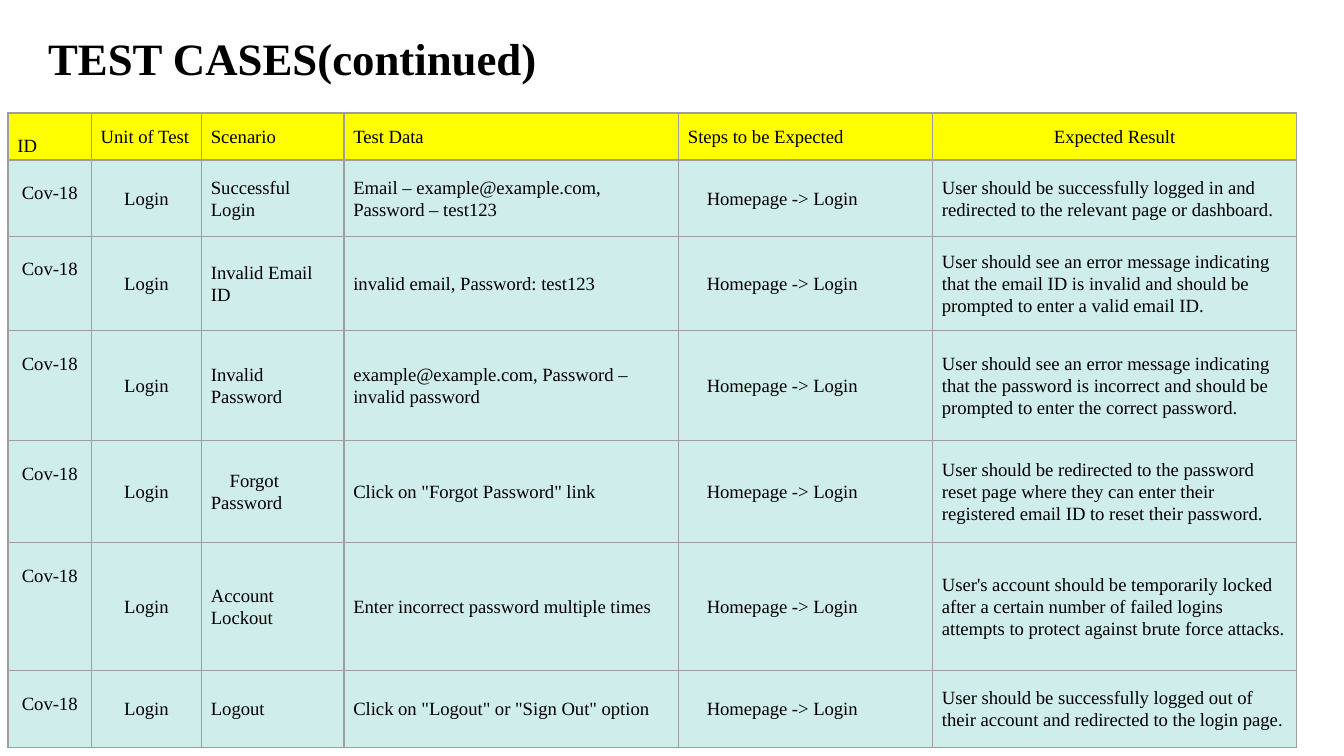
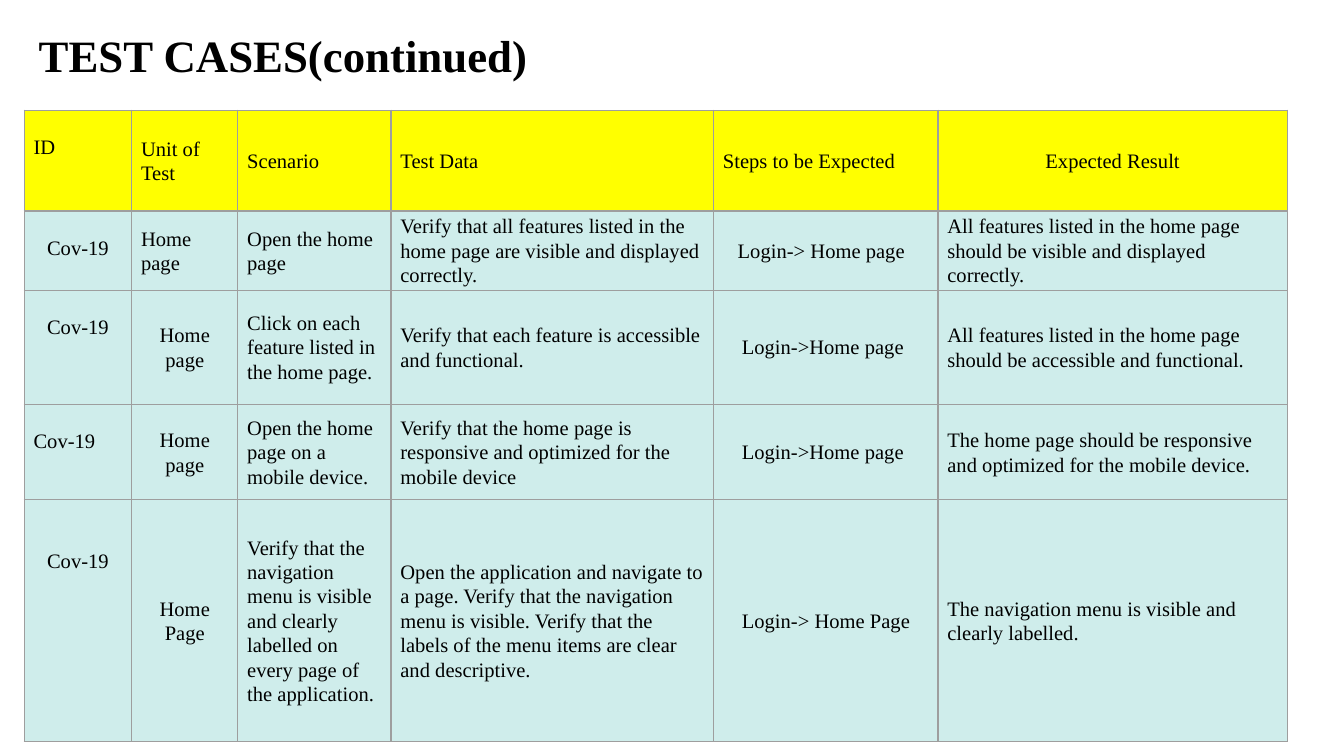
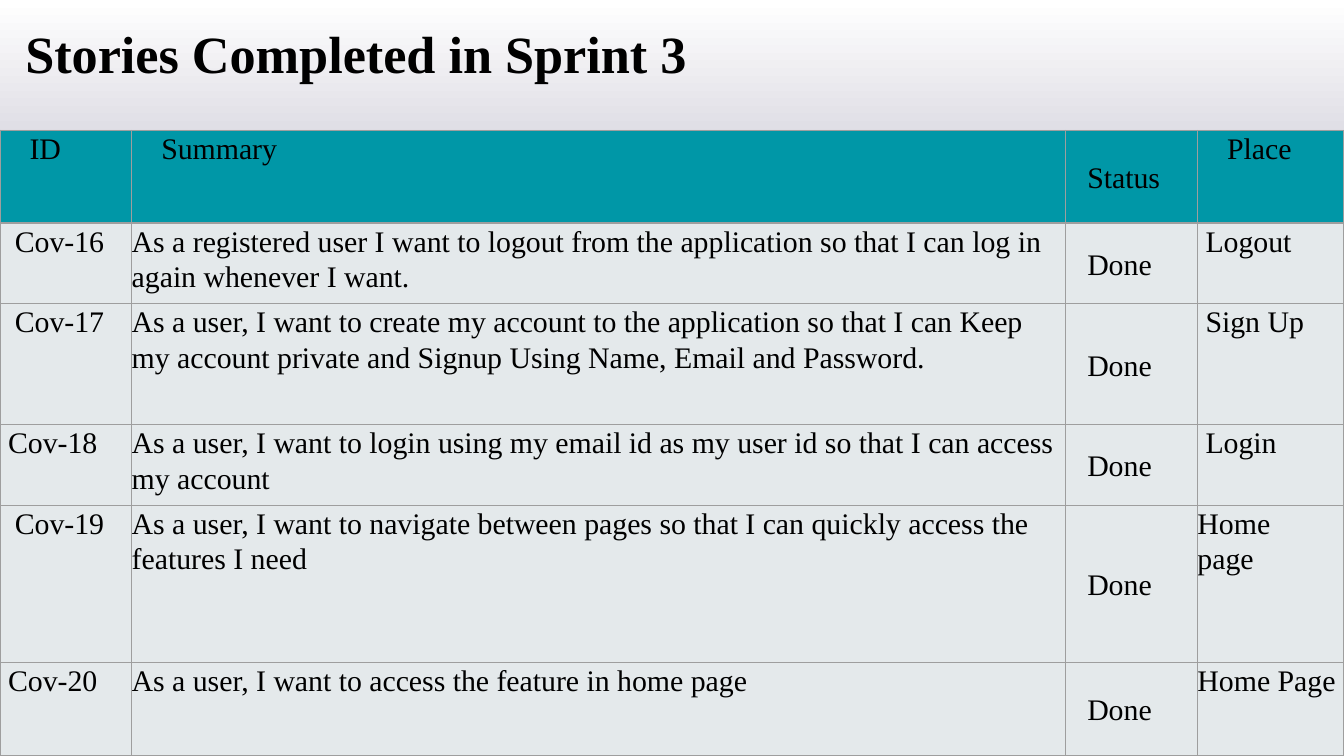
import pptx
import pptx.util
import pptx.dml.color
import pptx.enum.text
from dataclasses import dataclass
from lxml import etree

Inches = pptx.util.Inches
Align = pptx.enum.text.PP_ALIGN
Anchor = pptx.enum.text.MSO_ANCHOR


@dataclass(frozen=True)
class Theme:
    font: str = "Times New Roman"
    ink: str = "000000"
    white: str = "FFFFFF"
    dusk: str = "423864"
    rule: str = "9E9E9E"
    yellow: str = "FFFF00"
    mint: str = "CFEDEB"
    teal: str = "0097A7"
    mist: str = "E4E9EB"
    rule_pt: float = 0.75
    lead: float = 1.07


THEME = Theme()

# Cell styles: a cell is plain text, or (text, changes to its column's style)
BASE = dict(align=Align.LEFT, indent=0, anchor=Anchor.MIDDLE, left=0, right=0, top=0)
MID = dict(align=Align.CENTER)
STEP = dict(indent=0.14)
TOP = dict(anchor=Anchor.TOP)

# Content: test cases
HEADS = ["ID", "Unit of Test", "Scenario", "Test Data", "Steps to be Expected",
         ("Expected Result", MID)]
LOGIN = [
    ("Successful Login", "Email – example@example.com, Password – test123",
     "User should be successfully logged in and redirected to the relevant page or dashboard."),
    ("Invalid Email ID", "invalid email, Password: test123",
     "User should see an error message indicating that the email ID is invalid "
     "and should be prompted to enter a valid email ID."),
    ("Invalid Password", "example@example.com, Password – invalid password",
     "User should see an error message indicating that the password is incorrect "
     "and should be prompted to enter the correct password."),
    (("Forgot Password", STEP), 'Click on "Forgot Password" link',
     "User should be redirected to the password reset page where they can enter "
     "their registered email ID to reset their password."),
    ("Account Lockout", "Enter incorrect password multiple times",
     "User's account should be temporarily locked after a certain number of failed "
     "logins attempts to protect against brute force attacks."),
    ("Logout", 'Click on "Logout" or "Sign Out" option',
     "User should be successfully logged out of their account and redirected to the login page."),
]
HOME = [
    ["Cov-19", ("Home page", dict(align=Align.LEFT)), "Open the home page",
     "Verify that all features listed in the home page are visible and displayed correctly.",
     ("Login-> Home page", dict(indent=0.11)),
     "All features listed in the home page should be visible and displayed correctly."],
    ["Cov-19", "Home page", "Click on each feature listed in the home page.",
     "Verify that each feature is accessible and functional.", "Login->Home page",
     "All features listed in the home page should be accessible and functional."],
    [("Cov-19", dict(align=Align.LEFT)), "Home page", "Open the home page on a mobile device.",
     "Verify that the home page is responsive and optimized for the mobile device",
     "Login->Home page",
     "The home page should be responsive and optimized for the mobile device."],
    [("Cov-19", dict(top=0.36)), "Home Page",
     "Verify that the navigation menu is visible and clearly labelled on every page "
     "of the application.",
     "Open the application and navigate to a page. Verify that the navigation menu is visible. "
     "Verify that the labels of the menu items are clear and descriptive.",
     "Login-> Home Page", "The navigation menu is visible and clearly labelled."],
]

# Content: sprint stories
NEAR, FAR, HEAD = dict(indent=0.06), dict(indent=0.11), dict(indent=0.22)
STORIES = [
    [("Cov-16", FAR), "As a registered user I want to logout from the application so that "
     "I can log in again whenever I want.", "Done", ("Logout", NEAR)],
    [("Cov-17", FAR), "As a user, I want to create my account to the application so that I can "
     "Keep my account private and Signup Using Name, Email and Password.",
     "Done", ("Sign Up", NEAR)],
    [("Cov-18", NEAR), "As a user, I want to login using my email id as my user id so that "
     "I can access my account", "Done", ("Login", NEAR)],
    [("Cov-19", FAR), "As a user, I want to navigate between pages so that I can quickly "
     "access the features I need", "Done", ("Home page", dict(right=0.2))],
    [("Cov-20", NEAR), "As a user, I want to access the feature in home page",
     "Done", "Home Page"],
]


def tests(drop):
    """Column styles of a test-case table, with the ID dropped one line."""
    side = dict(left=0.07, right=0.07)
    return [side | TOP | dict(top=drop), side, side, side, side, side]


def cased(rows):
    """Give body rows the centred and indented columns of a test-case table."""
    body = [MID, MID, {}, {}, STEP, {}]
    return [[(cell[0], kind | cell[1]) if isinstance(cell, tuple) else (cell, kind)
             for cell, kind in zip(row, body)] for row in rows]


SLIDES = [
    dict(title="TEST CASES(continued)", box=(0.26, 0.18, 5, 0.5), big=24, glow=False,
         at=(0.06, 0.84), size=10, tints=(THEME.yellow, THEME.mint),
         cols=[0.62, 0.82, 1.06, 2.49, 1.89, 2.71],
         high=[0.35, 0.57, 0.7, 0.82, 0.76, 0.95, 0.57], kinds=tests(0.16),
         rows=[HEADS] + cased([["Cov-18", "Login", what, data, "Homepage -> Login", end]
                               for what, data, end in LOGIN])),
    dict(title="TEST CASES(continued)", box=(0.19, 0.16, 5, 0.5), big=24, glow=False,
         at=(0.18, 0.82), size=11, tints=(THEME.yellow, THEME.mint),
         cols=[0.8, 0.79, 1.14, 2.4, 1.67, 2.6],
         high=[0.75, 0.58, 0.85, 0.71, 1.8], kinds=tests(0.18),
         rows=[HEADS] + cased(HOME)),
    dict(title="Stories Completed in Sprint 3", box=(0.09, 0.11, 5.36, 0.57), big=28, glow=True,
         at=(0, 0.97), size=16, tints=(THEME.teal, THEME.mist),
         cols=[0.98, 6.95, 0.98, 1.09], high=[0.69, 0.6, 0.9, 0.6, 1.17, 0.69],
         kinds=[TOP, TOP, dict(left=0.16, right=0.01, top=0.01), TOP],
         rows=[[("ID", HEAD), ("Summary", HEAD), "Status", ("Place", HEAD)]] + STORIES),
]


def rgb(code):
    return pptx.dml.color.RGBColor.from_string(code)


def style(para, size, bold=False):
    para.font.name = THEME.font
    para.font.size = pptx.util.Pt(size)
    para.font.bold = bold
    para.font.color.rgb = rgb(THEME.ink)


def edge(cell):
    """Rule all four sides of a cell."""
    props = cell._tc.get_or_add_tcPr()
    for side in ("lnL", "lnR", "lnT", "lnB"):
        line = etree.SubElement(props, pptx.oxml.ns.qn("a:" + side),
                                w=str(pptx.util.Pt(THEME.rule_pt)))
        fill = etree.SubElement(line, pptx.oxml.ns.qn("a:solidFill"))
        etree.SubElement(fill, pptx.oxml.ns.qn("a:srgbClr"), val=THEME.rule)


def write(cell, text, look, size, tint):
    edge(cell)
    cell.fill.solid()
    cell.fill.fore_color.rgb = rgb(tint)
    cell.margin_left, cell.margin_right = Inches(look["left"]), Inches(look["right"])
    cell.margin_top, cell.margin_bottom = Inches(look["top"]), 0
    cell.vertical_anchor = look["anchor"]
    para = cell.text_frame.paragraphs[0]
    para.text = text
    para.alignment = look["align"]
    para.line_spacing = THEME.lead
    if look["indent"]:
        para._p.get_or_add_pPr().set("indent", str(Inches(look["indent"])))
    style(para, size)


def paint(slide, glow):
    fill = slide.background.fill
    if glow:
        fill.gradient()
        fill.gradient_angle = 270
        for stop, code in zip(fill.gradient_stops, (THEME.white, THEME.dusk)):
            stop.color.rgb = rgb(code)
    else:
        fill.solid()
        fill.fore_color.rgb = rgb(THEME.white)


def head(slide, text, box, size):
    frame = slide.shapes.add_textbox(*map(Inches, box)).text_frame
    frame.word_wrap = True
    frame.auto_size = pptx.enum.text.MSO_AUTO_SIZE.SHAPE_TO_FIT_TEXT
    para = frame.paragraphs[0]
    para.text = text
    style(para, size, bold=True)


def grid(slide, page):
    cols, high = page["cols"], page["high"]
    place = (*page["at"], sum(cols), sum(high))
    table = slide.shapes.add_table(len(high), len(cols), *map(Inches, place)).table
    table.first_row = table.horz_banding = False
    for col, wide in zip(table.columns, cols):
        col.width = Inches(wide)
    for row, tall in zip(table.rows, high):
        row.height = Inches(tall)
    for r, row in enumerate(page["rows"]):
        for c, item in enumerate(row):
            text, more = item if isinstance(item, tuple) else (item, {})
            look = BASE | page["kinds"][c] | more
            write(table.cell(r, c), text, look, page["size"], page["tints"][r > 0])


def main():
    deck = pptx.Presentation()
    deck.slide_width = Inches(10)
    deck.slide_height = deck.slide_width * 9 // 16
    for page in SLIDES:
        slide = deck.slides.add_slide(deck.slide_layouts[6])
        paint(slide, page["glow"])
        head(slide, page["title"], page["box"], page["big"])
        grid(slide, page)
    deck.save("out.pptx")


if __name__ == "__main__":
    main()
